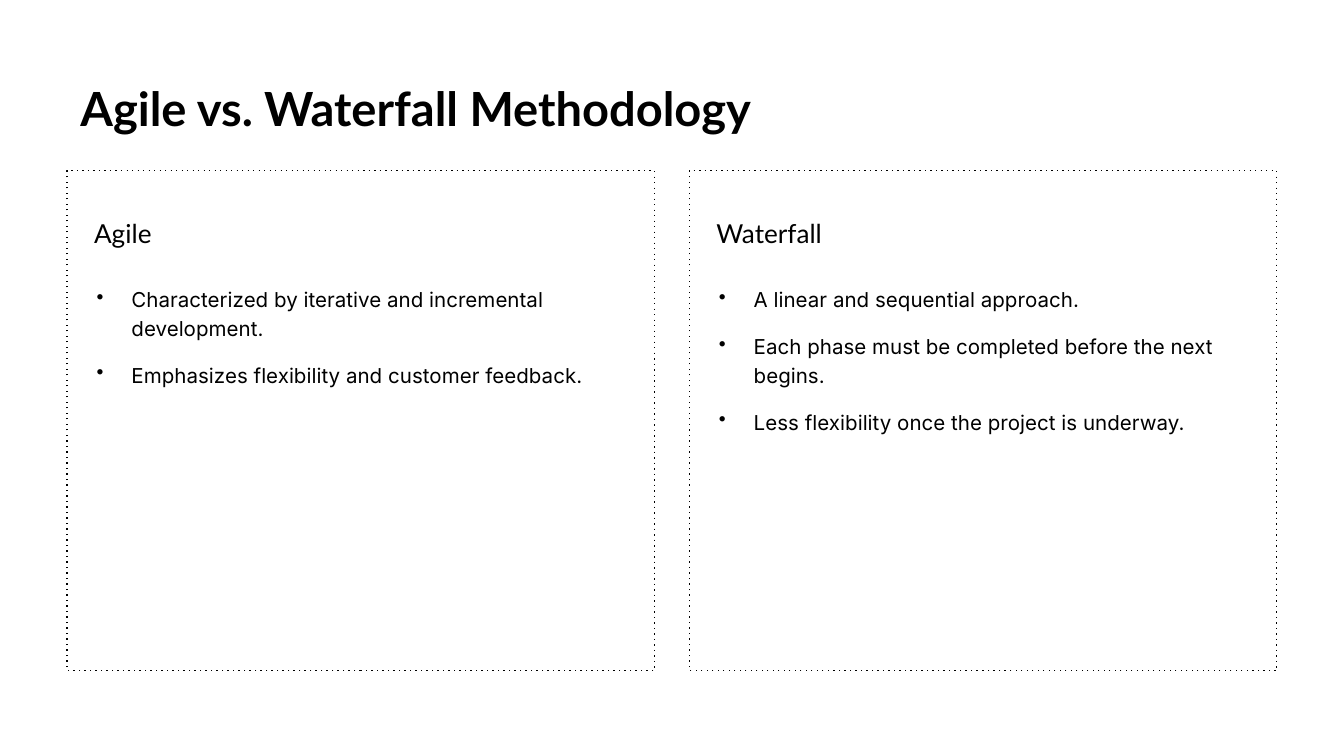
from lxml import etree
from pptx import Presentation
from pptx.dml.color import RGBColor
from pptx.enum.shapes import MSO_SHAPE
from pptx.enum.text import MSO_ANCHOR
from pptx.oxml.ns import qn
from pptx.util import Inches, Pt

RECTANGLE = MSO_SHAPE.RECTANGLE
TOP, MIDDLE, BOTTOM = MSO_ANCHOR.TOP, MSO_ANCHOR.MIDDLE, MSO_ANCHOR.BOTTOM
COLORS = {"ink": "000000", "paper": "FFFFFF"}
HEADING_FONT, BODY_FONT = "Lato", "Inter"
COLUMN_LEFT, COLUMN_TOP, COLUMN_WIDTH, COLUMN_STEP = 0.5, 1.27, 4.37, 4.63
METHODS = [
    ("Agile", [
        "Characterized by iterative and incremental development.",
        "Emphasizes flexibility and customer feedback.",
    ]),
    ("Waterfall", [
        "A linear and sequential approach.",
        "Each phase must be completed before the next begins.",
        "Less flexibility once the project is underway.",
    ]),
]


def color(name):
    """Return the named colour."""
    return RGBColor.from_string(COLORS[name])


def add_panel(page, left):
    """Add the dotted outline of one column."""
    panel = page.shapes.add_shape(
        RECTANGLE, Inches(left), Inches(COLUMN_TOP), Inches(COLUMN_WIDTH), Inches(3.72))
    panel.shadow.inherit = False
    panel.fill.background()
    panel.line.color.rgb = color("ink")
    panel.line.width = Pt(0.75)
    outline = panel._element.spPr.find(qn("a:ln"))
    etree.SubElement(outline, qn("a:prstDash"), val="dot")


def add_box(page, left, top, width, height, anchor, inset_left=0.1, inset_right=0.1):
    """Add an empty wrapping text box and return its text frame."""
    box = page.shapes.add_textbox(Inches(left), Inches(top), Inches(width), Inches(height))
    frame = box.text_frame
    frame.word_wrap = True
    frame.vertical_anchor = anchor
    frame.margin_left, frame.margin_right = Inches(inset_left), Inches(inset_right)
    frame.margin_top = frame.margin_bottom = Inches(0.1)
    return frame


def add_span(para, text, font, size, bold=False):
    """Add one formatted run to a paragraph."""
    span = para.add_run()
    span.text = text
    span.font.name = font
    span.font.size = Pt(size)
    span.font.bold = bold
    span.font.color.rgb = color("ink")


def set_bullet(para):
    """Give a paragraph a round bullet with a hanging indent."""
    properties = para._p.get_or_add_pPr()
    properties.set("marL", str(Inches(0.38)))
    properties.set("indent", str(Inches(-0.26)))
    bullet_color = etree.SubElement(properties, qn("a:buClr"))
    etree.SubElement(bullet_color, qn("a:srgbClr"), val=COLORS["ink"])
    etree.SubElement(properties, qn("a:buChar"), char="•")


def add_title(page, text):
    """Add the slide title."""
    frame = add_box(page, COLUMN_LEFT, 0.49, 9, 0.63, MIDDLE)
    add_span(frame.paragraphs[0], text, HEADING_FONT, 25.2, bold=True)


def add_points(page, left, points):
    """Add the bulleted points of one column."""
    frame = add_box(page, left, 2.01, COLUMN_WIDTH, 2.99, TOP)
    for index, point in enumerate(points):
        para = frame.add_paragraph() if index else frame.paragraphs[0]
        para.line_spacing = 1.15
        para.space_before = Pt(10 if index else 0)
        para.space_after = Pt(10 if index == len(points) - 1 else 0)
        set_bullet(para)
        add_span(para, point, BODY_FONT, 11)


def add_heading(page, left, text):
    """Add the heading of one column."""
    frame = add_box(page, left, COLUMN_TOP, COLUMN_WIDTH, 0.68, BOTTOM, 0.2, 0.15)
    para = frame.paragraphs[0]
    para.space_after = Pt(12)
    add_span(para, text, HEADING_FONT, 14)


def main():
    """Build and save the comparison slide."""
    deck = Presentation()
    deck.slide_width = Inches(10)
    deck.slide_height = deck.slide_width * 9 // 16
    page = deck.slides.add_slide(deck.slide_layouts[6])
    page.background.fill.solid()
    page.background.fill.fore_color.rgb = color("paper")
    add_title(page, "Agile vs. Waterfall Methodology")
    for index, (name, points) in enumerate(METHODS):
        left = COLUMN_LEFT + index * COLUMN_STEP
        add_panel(page, left)
        add_points(page, left, points)
        add_heading(page, left, name)
    deck.save("out.pptx")


if __name__ == "__main__":
    main()
